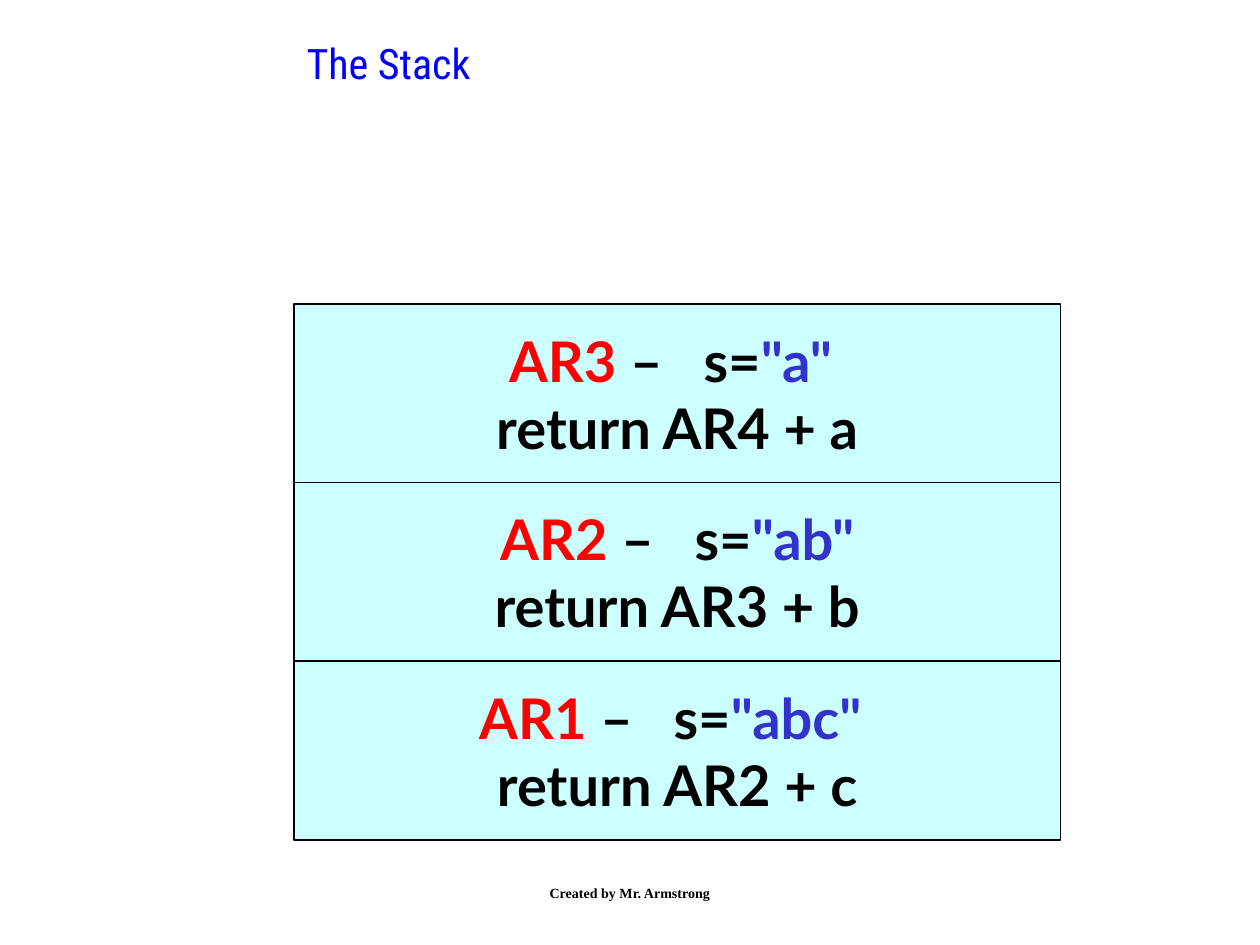
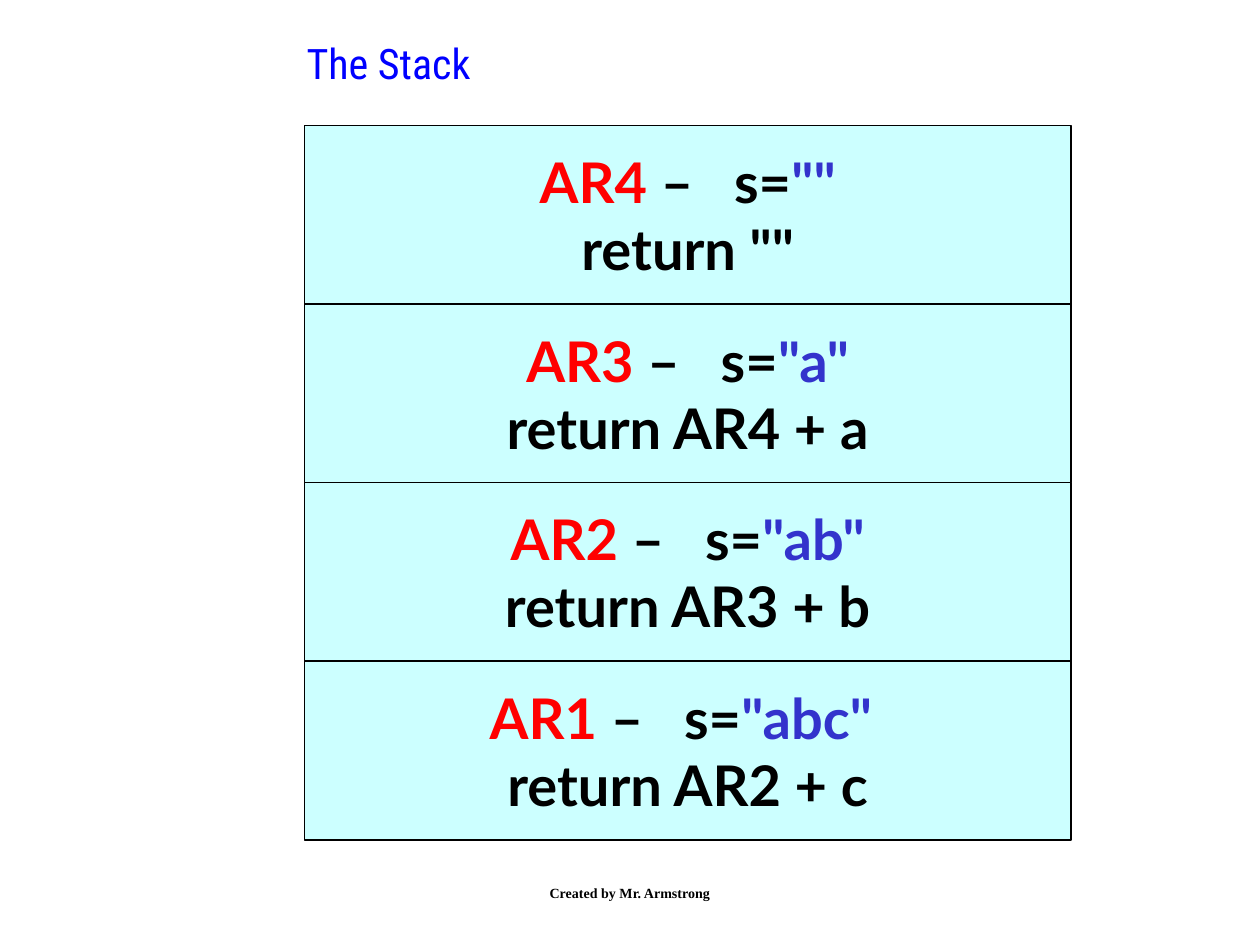
from lxml import etree
from pptx import Presentation
from pptx.dml.color import RGBColor
from pptx.enum import shapes, text
from pptx.oxml import ns
from pptx.util import Cm, Pt

TITLE = "The Stack"
FOOTER = "Created by Mr. Armstrong"

# Each stack: left edge, then its records from the bottom up (name, argument, result).
STACKS = [
    (Cm(5.93), [
        ("AR1", '"abc" ', "AR2 + c"),
        ("AR2", '"ab"', "AR3 + b"),
        ("AR3", '"a" ', "AR4 + a"),
    ]),
    (Cm(6.14), [
        ("AR1", '"abc" ', "AR2 + c"),
        ("AR2", '"ab"', "AR3 + b"),
        ("AR3", '"a"', "AR4 + a"),
        ("AR4", '""', '""'),
    ]),
]

BLACK = RGBColor(0x00, 0x00, 0x00)
RED = RGBColor(0xFF, 0x00, 0x00)
BLUE = RGBColor(0x00, 0x00, 0xFF)
INDIGO = RGBColor(0x33, 0x33, 0xCC)
YELLOW = RGBColor(0xFF, 0xFF, 0x00)
PALE_CYAN = RGBColor(0xCC, 0xFF, 0xFF)

RECORD_WIDTH, RECORD_HEIGHT = Cm(15.45), Cm(3.6)
STACK_BOTTOM = Cm(16.93)


def write(box, lines, *, font, size, bold=False, align=None,
          anchor=text.MSO_ANCHOR.MIDDLE, wrap=False):
    """Fill a box with lines, each a list of (text, colour) spans."""
    frame = box.text_frame
    frame.word_wrap = wrap
    frame.vertical_anchor = anchor
    for number, spans in enumerate(lines):
        para = frame.add_paragraph() if number else frame.paragraphs[0]
        para.alignment = align
        for words, colour in spans:
            span = para.add_run()
            span.text = words
            span.font.name = font
            span.font.size = Pt(size)
            span.font.bold = bold
            span.font.color.rgb = colour


def outline_text(span, colour, width):
    line = etree.Element(ns.qn("a:ln"), w=str(Pt(width)))
    fill = etree.SubElement(line, ns.qn("a:solidFill"))
    etree.SubElement(fill, ns.qn("a:srgbClr"), val=str(colour))
    span.font._element.insert(0, line)


def add_title(page):
    box = page.shapes.add_textbox(Cm(5.93), Cm(0.64), Cm(16.93), Cm(1.48))
    write(box, [[(TITLE, BLUE)]], font="Roboto Condensed", size=24,
          anchor=text.MSO_ANCHOR.TOP)
    outline_text(box.text_frame.paragraphs[0].runs[0], YELLOW, 0.75)


def add_footer(page):
    box = page.shapes.add_textbox(Cm(8.68), Cm(17.36), Cm(8.04), Cm(1.27))
    write(box, [[(FOOTER, BLACK)]], font="Times New Roman", size=8, bold=True,
          align=text.PP_ALIGN.CENTER, wrap=True)


def add_record(page, left, top, name, argument, result):
    box = page.shapes.add_shape(shapes.MSO_SHAPE.RECTANGLE, left, top,
                                RECORD_WIDTH, RECORD_HEIGHT)
    box.shadow.inherit = False
    box.fill.solid()
    box.fill.fore_color.rgb = PALE_CYAN
    box.line.color.rgb = BLACK
    box.line.width = Pt(1)
    lines = [
        [(name, RED), (" –   s=", BLACK), (argument, INDIGO)],
        [(f"return {result}", BLACK)],
    ]
    write(box, lines, font="Lato", size=32, bold=True,
          align=text.PP_ALIGN.CENTER)


def main():
    deck = Presentation()
    deck.slide_width, deck.slide_height = Cm(25.4), Cm(19.05)
    for left, records in STACKS:
        page = deck.slides.add_slide(deck.slide_layouts[6])
        for level, record in enumerate(records, start=1):
            add_record(page, left, STACK_BOTTOM - level * RECORD_HEIGHT, *record)
        add_title(page)
        add_footer(page)
    deck.save("out.pptx")


if __name__ == "__main__":
    main()
